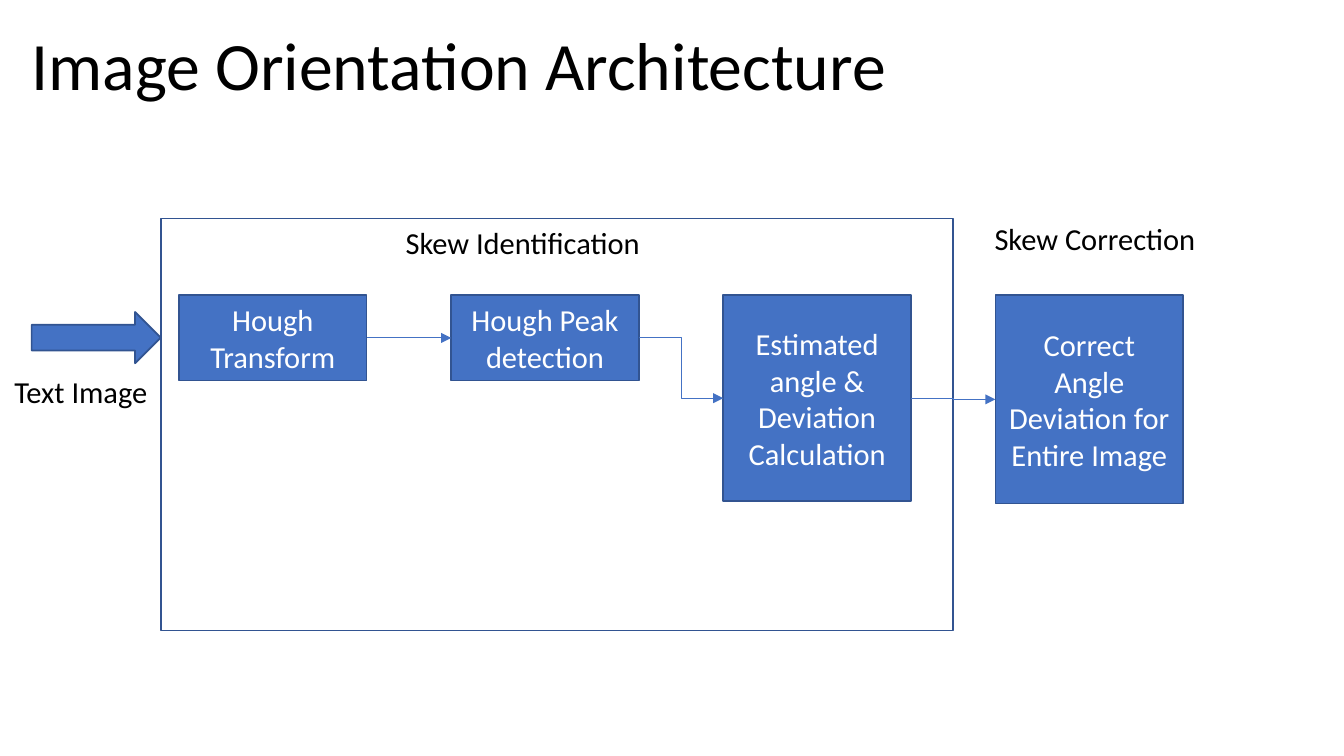
from lxml import etree
from pptx import Presentation
from pptx.dml.color import RGBColor
from pptx.enum.shapes import MSO_CONNECTOR, MSO_SHAPE
from pptx.enum.text import MSO_ANCHOR, MSO_AUTO_SIZE, PP_ALIGN
from pptx.oxml.ns import qn
from pptx.util import Cm, Pt

BLUE, EDGE, WHITE, BLACK = "4472C4", "325491", "FFFFFF", "000000"
STEP_LEFT, STEP_TOP, STEP_WIDTH, STEP_PITCH = 3.73, 6.15, 3.91, 5.67
STEPS = [
    ("Hough Transform", 1.78),
    ("Hough Peak detection", 1.78),
    ("Estimated angle & Deviation Calculation", 4.29),
    ("Correct Angle Deviation for Entire Image", 4.34),
]
LABELS = [
    ("Text Image", 0.05, 7.65, 3.33),
    ("Skew Identification", 8.2, 4.55, 5.46),
    ("Skew Correction", 20.47, 4.47, 4.75),
]


def rgb(color):
    return RGBColor.from_string(color)


def set_text(tf, text, size, color, align):
    tf.text = text
    p = tf.paragraphs[0]
    p.alignment = align
    p.font.name = "Calibri"
    p.font.size = Pt(size)
    p.font.color.rgb = rgb(color)


def add_title(s, text):
    title = s.shapes.title
    title.left, title.top = Cm(0.66), Cm(0.03)
    title.width, title.height = Cm(19.5), Cm(2.6)
    tf = title.text_frame
    tf.margin_left = tf.margin_right = tf.margin_top = tf.margin_bottom = 0
    tf.vertical_anchor = MSO_ANCHOR.MIDDLE
    tf.auto_size = MSO_AUTO_SIZE.NONE
    set_text(tf, text, 40, BLACK, PP_ALIGN.LEFT)


def add_block(s, kind, left, top, width, height, fill=BLUE):
    sp = s.shapes.add_shape(kind, Cm(left), Cm(top), Cm(width), Cm(height))
    sp.shadow.inherit = False
    if fill:
        sp.fill.solid()
        sp.fill.fore_color.rgb = rgb(fill)
    else:
        sp.fill.background()
    sp.line.color.rgb = rgb(EDGE)
    sp.line.width = Pt(1)
    return sp


def add_step(s, index, text, height):
    left = STEP_LEFT + index * STEP_PITCH
    sp = add_block(s, MSO_SHAPE.RECTANGLE, left, STEP_TOP, STEP_WIDTH, height)
    tf = sp.text_frame
    tf.word_wrap = True
    tf.vertical_anchor = MSO_ANCHOR.MIDDLE
    set_text(tf, text, 18, WHITE, PP_ALIGN.CENTER)
    return sp


def add_label(s, text, left, top, width):
    box = s.shapes.add_textbox(Cm(left), Cm(top), Cm(width), Cm(1.03))
    tf = box.text_frame
    tf.word_wrap = False
    tf.auto_size = MSO_AUTO_SIZE.SHAPE_TO_FIT_TEXT
    set_text(tf, text, 18, BLACK, PP_ALIGN.LEFT)


def add_arrow(s, kind, source, target):
    arrow = s.shapes.add_connector(kind, 0, 0, 0, 0)
    arrow.begin_connect(source, 3)
    arrow.end_connect(target, 1)
    arrow.line.color.rgb = rgb(BLUE)
    arrow.line.width = Pt(0.5)
    etree.SubElement(arrow.line._get_or_add_ln(), qn("a:tailEnd"), type="triangle")
    etree.SubElement(arrow._element.spPr, qn("a:effectLst"))


def main():
    """Build the image orientation architecture slide."""
    prs = Presentation()
    prs.slide_width, prs.slide_height = Cm(28), Cm(15.75)
    s = prs.slides.add_slide(prs.slide_layouts[5])
    add_title(s, "Image Orientation Architecture")

    add_block(s, MSO_SHAPE.RECTANGLE, 3.35, 4.55, 16.51, 8.59, fill=None)
    steps = [add_step(s, i, text, height) for i, (text, height) in enumerate(STEPS)]
    add_block(s, MSO_SHAPE.RIGHT_ARROW, 0.66, 6.5, 2.69, 1.07)
    for label in LABELS:
        add_label(s, *label)

    kinds = [MSO_CONNECTOR.STRAIGHT, MSO_CONNECTOR.ELBOW, MSO_CONNECTOR.ELBOW]
    for kind, source, target in zip(kinds, steps, steps[1:]):
        add_arrow(s, kind, source, target)
    prs.save("out.pptx")


if __name__ == "__main__":
    main()
